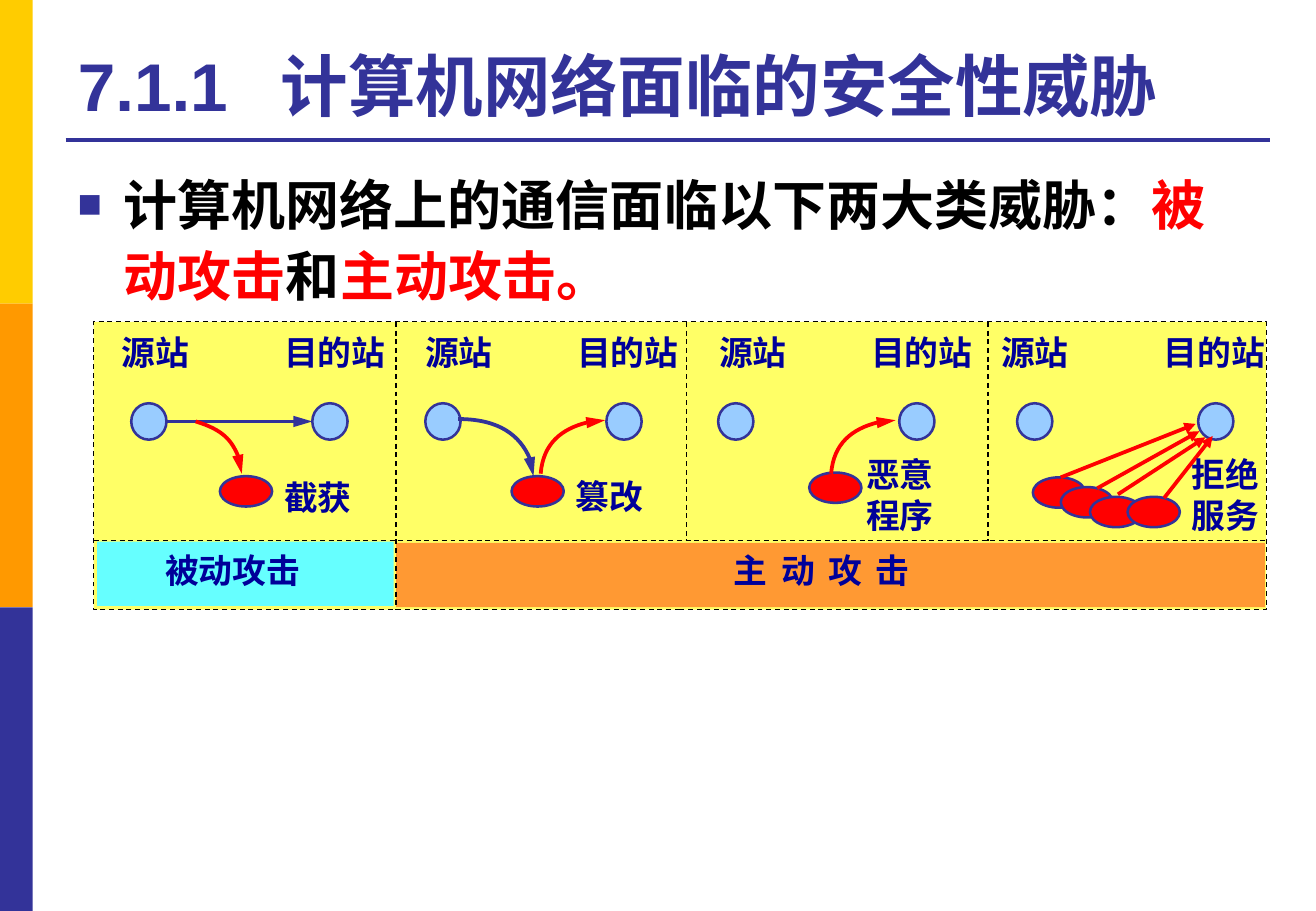
from lxml import etree
from pptx import Presentation, util as u
from pptx.dml.color import RGBColor
from pptx.enum import dml, shapes, text
from pptx.oxml import ns

PX = 9144
FONT = "Arial"
BLACK = RGBColor(0x00, 0x00, 0x00)
RED = RGBColor(0xFF, 0x00, 0x00)
INDIGO = RGBColor(0x33, 0x33, 0x99)
NAVY = RGBColor(0x00, 0x00, 0x99)
GOLD = RGBColor(0xFF, 0xCC, 0x00)
AMBER = RGBColor(0xFF, 0x99, 0x00)
YELLOW = RGBColor(0xFF, 0xFF, 0x66)
ORANGE = RGBColor(0xFF, 0x99, 0x33)
CYAN = RGBColor(0x66, 0xFF, 0xFF)
SKY = RGBColor(0x99, 0xCC, 0xFF)
RECT = shapes.MSO_SHAPE.RECTANGLE
OVAL = shapes.MSO_SHAPE.OVAL


def emu(*lengths):
    """Turn px lengths into EMU."""
    return [length * PX for length in lengths]


def add_xml(parent, tag, **attributes):
    """Append a drawing element to a parent and return it."""
    return etree.SubElement(parent, ns.qn(tag), attributes)


def style_line(item, color, width, dashed=False, arrow=None):
    """Format an outline, with an arrowhead of the given length at its end."""
    item.line.color.rgb = color
    item.line.width = u.Pt(width)
    if dashed:
        item.line.dash_style = dml.MSO_LINE.DASH
    if arrow:
        outline = item._element.spPr.find(ns.qn("a:ln"))
        add_xml(outline, "a:tailEnd", type="triangle", w="med", len=arrow)


def add_figure(page, kind, box, fill, line=None, width=1.5, dashed=False):
    """Add a filled preset shape."""
    figure = page.shapes.add_shape(kind, *emu(*box))
    figure.shadow.inherit = False
    figure.fill.solid()
    figure.fill.fore_color.rgb = fill
    if line is None:
        figure.line.fill.background()
    else:
        style_line(figure, line, width, dashed)


def add_line(page, ends, color, width=2.25, dashed=False, arrow=None):
    """Add a straight line between two points."""
    line = page.shapes.add_connector(shapes.MSO_CONNECTOR.STRAIGHT, *emu(*ends))
    style_line(line, color, width, dashed, arrow)
    add_xml(line._element.spPr, "a:effectLst")


def add_curve(page, left, top, points, color):
    """Add a cubic curve that ends in an arrowhead."""
    start, *others = [emu(left + x, top + y) for x, y in points]
    builder = page.shapes.build_freeform(*start)
    builder.add_line_segments(others, close=False)
    curve = builder.convert_to_shape()
    curve.shadow.inherit = False
    curve.fill.background()
    style_line(curve, color, 2.25, arrow="lg")
    steps = list(curve._element.iter(ns.qn("a:lnTo")))
    bezier = add_xml(steps[0].getparent(), "a:cubicBezTo")
    for step in steps:
        bezier.append(step[0])
        step.getparent().remove(step)


def write(para, words, size=20, color=NAVY, spacing=None):
    """Add a bold span of text to a paragraph."""
    span = para.add_run()
    span.text = words
    span.font.name, span.font.size, span.font.bold = FONT, u.Pt(size), True
    span.font.color.rgb = color
    if spacing:
        span._r.get_or_add_rPr().set("spc", str(spacing))


def add_label(page, left, top, *lines, width=77, spacing=None):
    """Add a diagram label of one or more lines."""
    height = 11 + 33 * len(lines)
    frame = page.shapes.add_textbox(*emu(left, top, width, height)).text_frame
    frame.word_wrap = False
    for index, words in enumerate(lines):
        para = frame.add_paragraph() if index else frame.paragraphs[0]
        write(para, words, spacing=spacing)


def add_sidebar(page, box):
    """Stack three equal colour bands in the box."""
    left, top, width, height = box
    band = height // 3
    for index, color in enumerate((GOLD, AMBER, INDIGO)):
        add_figure(page, RECT, (left, top + index * band, width, band), color)


def add_heading(page, box):
    """Place the title and the rule below it."""
    left, top, width, height = box
    title = page.shapes.title
    title.left, title.top, title.width, title.height = emu(*box)
    frame = title.text_frame
    frame.auto_size = text.MSO_AUTO_SIZE.NONE
    frame.vertical_anchor = text.MSO_ANCHOR.BOTTOM
    para = frame.paragraphs[0]
    para.alignment = text.PP_ALIGN.LEFT
    stops = add_xml(para._p.get_or_add_pPr(), "a:tabLst")
    add_xml(stops, "a:tab", pos=str(167 * PX), algn="l")
    write(para, "7.1.1\t计算机网络面临的安全性威胁", size=40, color=INDIGO)
    rule = top + height + 7
    add_line(page, (left, rule, left + width, rule), INDIGO)


def add_summary(page, box):
    """Write the bulleted statement."""
    frame = page.shapes.add_textbox(*emu(*box)).text_frame
    frame.word_wrap = True
    para = frame.paragraphs[0]
    para.line_spacing, para.space_before = 1.1, u.Pt(6)
    props = para._p.get_or_add_pPr()
    props.set("marL", str(38 * PX))
    props.set("indent", str(-38 * PX))
    add_xml(add_xml(props, "a:buClr"), "a:srgbClr", val=str(INDIGO))
    add_xml(props, "a:buSzPct", val="75000")
    add_xml(props, "a:buFont", typeface=FONT)
    add_xml(props, "a:buChar", char="■")
    for words, color in (("计算机网络上的通信面临以下两大类威胁：", BLACK),
                         ("被动攻击", RED), ("和", BLACK), ("主动攻击。", RED)):
        write(para, words, size=32, color=color)


def add_panel(page, left, top, labels, node, verdict, attackers,
              curves=(), arrows=()):
    """Draw one threat: two stations, attackers, flows and a verdict."""
    for x, words, width in zip(labels, ("源站", "目的站"), (77, 105)):
        add_label(page, left + x, top + 3, words, width=width)
    for x in (node, node + 149):
        add_figure(page, OVAL, (left + x, top + 67, 29, 30), SKY, INDIGO)
    for x, y in attackers:
        add_figure(page, OVAL, (left + x, top + y, 43, 25), RED, INDIGO)
    for x1, y1, x2, y2, color, size in arrows:
        ends = (left + x1, top + y1, left + x2, top + y2)
        add_line(page, ends, color, arrow=size)
    for color, points in curves:
        add_curve(page, left, top, points, color)
    x, y, *lines = verdict
    add_label(page, left + x, top + y, *lines)


def add_diagram(page, box):
    """Draw the four threats above the passive and active bars."""
    left, top, width, height = box
    add_figure(page, RECT, box, YELLOW, BLACK, 0.75, dashed=True)
    add_figure(page, RECT, (left + 3, top + 181, 244, 53), CYAN)
    add_figure(page, RECT, (left + 249, top + 182, 715, 53), ORANGE)
    add_label(page, left + 49, top + 183, "被动攻击", width=133)
    add_label(page, left + 517, top + 183, "主 动 攻 击", width=179, spacing=175)
    for x1, y1, x2, y2 in ((249, 0, 249, height), (488, 0, 488, 180),
                           (736, 0, 736, 180), (0, 180, width, 180)):
        ends = (left + x1, top + y1, left + x2, top + y2)
        add_line(page, ends, BLACK, 0.75, dashed=True)
    rise = [(119, 125), (121, 100), (144, 81), (172, 81)]
    add_panel(page, left, top, (13, 147), 31, (147, 123, "截获"), [(104, 127)],
              curves=[(RED, [(84, 82), (107, 89), (122, 106), (122, 125)])],
              arrows=[(60, 82, 180, 82, INDIGO, "lg")])
    add_panel(page, left + 249, top, (14, 139), 24, (138, 122, "篡改"), [(95, 127)],
              curves=[(INDIGO, [(51, 80), (85, 80), (113, 101), (113, 127)]),
                      (RED, rise)])
    add_panel(page, left + 488, top, (17, 142), 26, (138, 104, "恶意", "程序"),
              [(101, 124)], curves=[(RED, rise)])
    add_panel(page, left + 736, top, (1, 135), 24, (158, 104, "拒绝", "服务"),
              [(37, 128), (60, 136), (84, 144), (115, 144)],
              arrows=[(60, 128, 171, 84, RED, "med"),
                      (90, 137, 174, 90, RED, "med"),
                      (107, 142, 179, 95, RED, "med"),
                      (145, 145, 185, 94, RED, "med")])


def main():
    """Build the deck and save it."""
    deck = Presentation()
    deck.slide_width, deck.slide_height = emu(1083, 750)
    page = deck.slides.add_slide(deck.slide_layouts[5])
    add_sidebar(page, (0, 0, 27, 750))
    add_heading(page, (54, 21, 991, 87))
    add_summary(page, (54, 131, 991, 130))
    add_diagram(page, (77, 265, 965, 237))
    deck.save("out.pptx")


if __name__ == "__main__":
    main()
